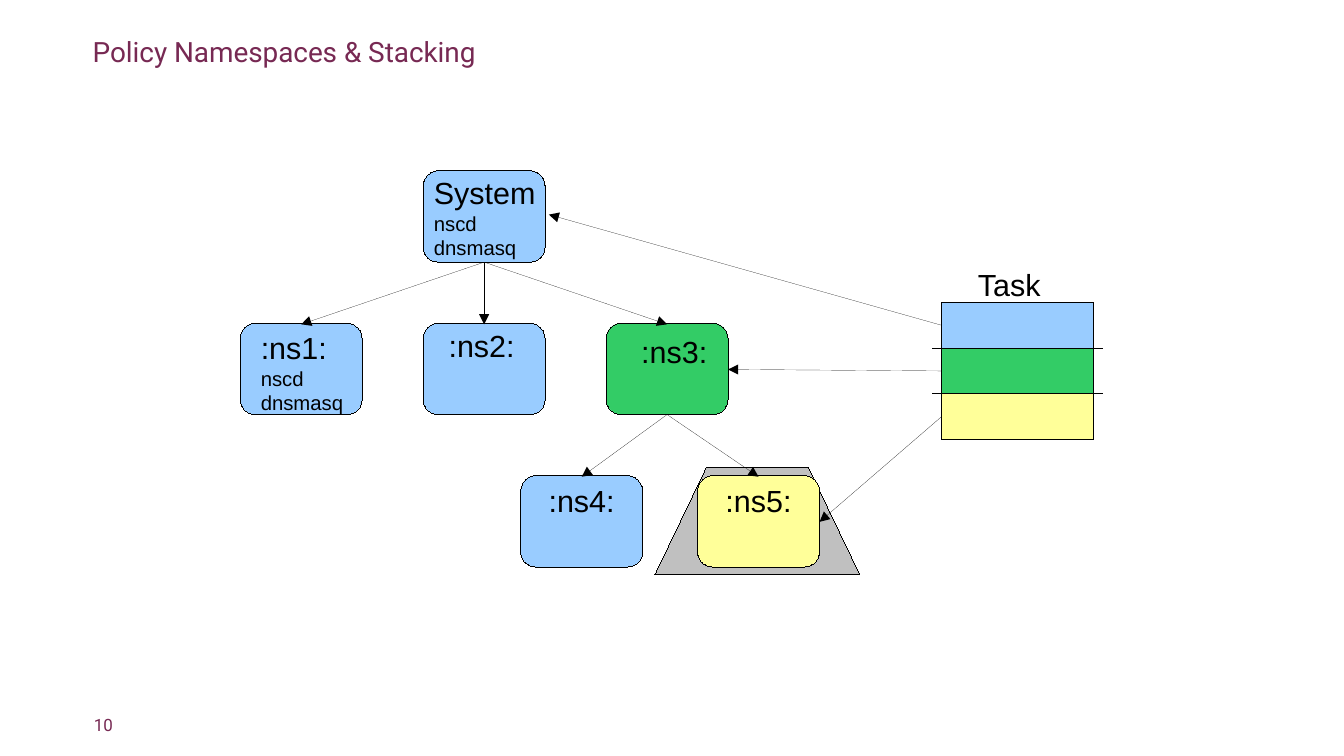
import dataclasses

import pptx
import pptx.dml.color
import pptx.enum.shapes
import pptx.enum.text
import pptx.oxml
import pptx.oxml.ns
import pptx.util

Inches = pptx.util.Inches
Pt = pptx.util.Pt
Shapes = pptx.enum.shapes.MSO_SHAPE


@dataclasses.dataclass(frozen=True)
class Theme:
    plum: str = "772953"
    black: str = "000000"
    blue: str = "99CCFF"
    green: str = "33CC66"
    yellow: str = "FFFF99"
    grey: str = "C0C0C0"
    heading_font: str = "Roboto"
    label_font: str = "Arial"
    title_size: float = 16.5
    label_size: float = 18
    detail_size: float = 12
    number_size: float = 10
    hairline: float = 0.01


THEME = Theme()
NODE_W, NODE_H = 1, 0.75
LAYER_W, LAYER_H = 1.25, 0.375
LABEL_W = 1.2


def rgb(color):
    return pptx.dml.color.RGBColor.from_string(color)


def place(sp, x, y, w, h):
    sp.left, sp.top = Inches(x), Inches(y)
    sp.width, sp.height = Inches(w), Inches(h)


def format_text(p, size, font, color):
    p.alignment = pptx.enum.text.PP_ALIGN.LEFT
    for r in p.runs:
        r.font.size = Pt(size)
        r.font.name = font
        r.font.color.rgb = rgb(color)


def set_margins(tf, x, y):
    tf.margin_left = tf.margin_right = Inches(x)
    tf.margin_top = tf.margin_bottom = Inches(y)


def add_title(s, text):
    sp = s.shapes.title
    place(sp, 0.76, 0.32, 8.45, 0.21)
    tf = sp.text_frame
    tf.text = text
    tf.auto_size = pptx.enum.text.MSO_AUTO_SIZE.NONE
    tf.vertical_anchor = pptx.enum.text.MSO_ANCHOR.MIDDLE
    set_margins(tf, 0, 0)
    format_text(tf.paragraphs[0], THEME.title_size, THEME.heading_font, THEME.plum)


def add_number(s, text):
    tf = s.shapes.add_textbox(Inches(0.77), Inches(5.86), Inches(5.37), Inches(0.19)).text_frame
    tf.text = text
    tf.word_wrap = True
    set_margins(tf, 0, 0)
    format_text(tf.paragraphs[0], THEME.number_size, THEME.heading_font, THEME.plum)


def add_box(s, kind, x, y, w, h, color):
    sp = s.shapes.add_shape(kind, Inches(x), Inches(y), Inches(w), Inches(h))
    sp.shadow.inherit = False
    sp.fill.solid()
    sp.fill.fore_color.rgb = rgb(color)
    sp.line.color.rgb = rgb(THEME.black)
    sp.line.width = Pt(THEME.hairline)
    return sp


def add_label(s, x, y, h, lines):
    tf = s.shapes.add_textbox(Inches(x), Inches(y), Inches(LABEL_W), Inches(h)).text_frame
    tf.text = "\n".join(lines)
    tf.word_wrap = True
    set_margins(tf, 0.1, 0.05)
    for i, p in enumerate(tf.paragraphs):
        size = THEME.detail_size if i else THEME.label_size
        format_text(p, size, THEME.label_font, THEME.black)


def add_line(s, start, end, arrow=False):
    points = [Inches(v) for v in (*start, *end)]
    cx = s.shapes.add_connector(pptx.enum.shapes.MSO_CONNECTOR.STRAIGHT, *points)
    cx.line.color.rgb = rgb(THEME.black)
    cx.line.width = Pt(THEME.hairline)
    if arrow:
        tail = pptx.oxml.parse_xml(
            f'<a:tailEnd {pptx.oxml.ns.nsdecls("a")} type="triangle"/>')
        cx.line._get_or_add_ln().append(tail)
    cx._element.spPr.append(
        pptx.oxml.parse_xml(f'<a:effectLst {pptx.oxml.ns.nsdecls("a")}/>'))


def add_tree(s):
    trapezoid = add_box(s, Shapes.TRAPEZOID, 5.37, 3.83, 1.68, 0.88, THEME.grey)
    trapezoid.adjustments[0] = 0.48

    nodes = {
        "System": (3.47, 1.4, THEME.blue),
        "ns1": (1.97, 2.65, THEME.blue),
        "ns2": (3.47, 2.65, THEME.blue),
        "ns3": (4.97, 2.65, THEME.green),
        "ns4": (4.27, 3.9, THEME.blue),
        "ns5": (5.72, 3.9, THEME.yellow),
    }
    for x, y, color in nodes.values():
        add_box(s, Shapes.ROUNDED_RECTANGLE, x, y, NODE_W, NODE_H, color)

    children = {"System": ("ns1", "ns2", "ns3"), "ns3": ("ns4", "ns5")}
    for parent, names in children.items():
        px, py, _ = nodes[parent]
        for name in names:
            x, y, _ = nodes[name]
            add_line(s, (px + NODE_W / 2, py + NODE_H), (x + NODE_W / 2, y + 0.01), arrow=True)

    services = ["nscd", "dnsmasq"]
    add_label(s, 3.46, 1.38, 0.75, ["System", *services])
    add_label(s, 2.04, 2.65, 0.75, [":ns1:", *services])
    for text, x, y in ((":ns2:", 3.58, 2.63), (":ns3:", 5.16, 2.68),
                       (":ns4:", 4.4, 3.9), (":ns5:", 5.85, 3.9)):
        add_label(s, x, y, 0.38, [text])


def add_task(s):
    left, top, overhang = 7.72, 2.48, 0.07
    layers = ((THEME.blue, (4.5, 1.76)),
              (THEME.green, (5.97, 3.03)),
              (THEME.yellow, (6.72, 4.28)))
    add_label(s, 7.92, 2.13, 0.38, ["Task"])
    for i, (color, target) in enumerate(layers):
        y = top + i * LAYER_H
        add_box(s, Shapes.RECTANGLE, left, y, LAYER_W, LAYER_H, color)
        if i:
            add_line(s, (left - overhang, y), (left + LAYER_W + overhang, y))
        add_line(s, (left, y + LAYER_H / 2), target, arrow=True)


def main():
    prs = pptx.Presentation()
    prs.slide_width, prs.slide_height = Inches(11.02), Inches(6.2)
    s = prs.slides.add_slide(prs.slide_layouts[5])
    add_title(s, "Policy Namespaces & Stacking")
    add_number(s, "10")
    add_tree(s)
    add_task(s)
    prs.save("out.pptx")


if __name__ == "__main__":
    main()
